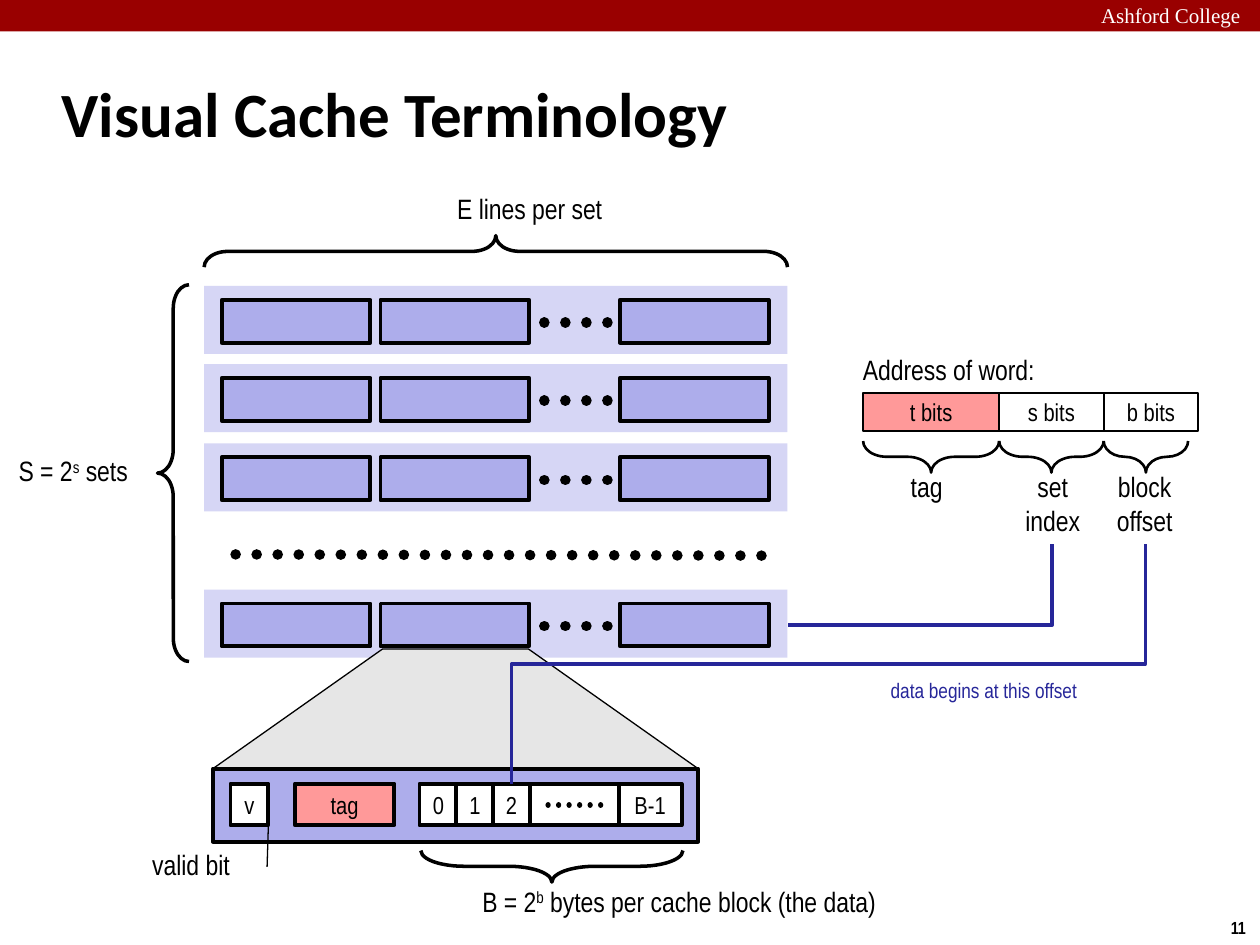
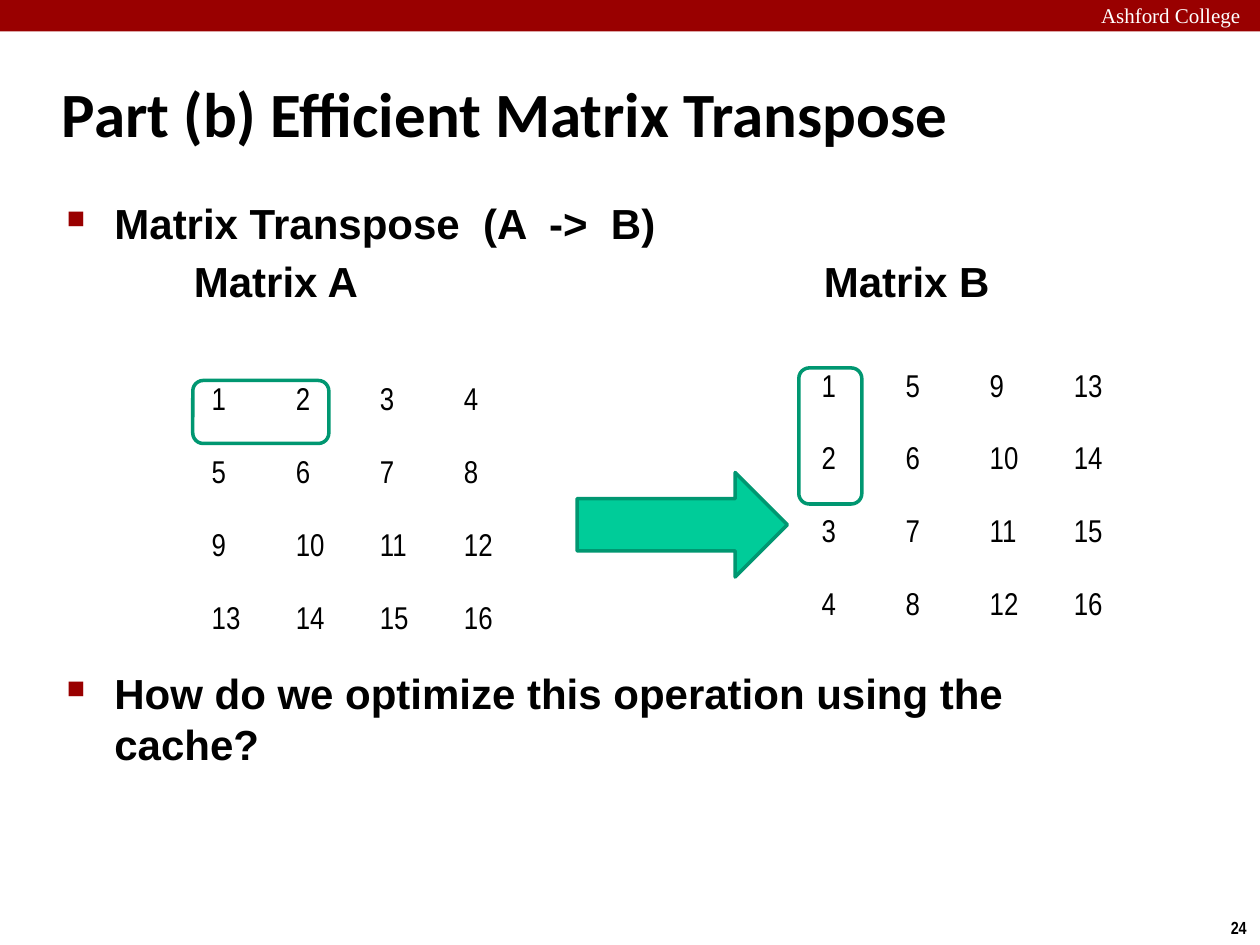
from itertools import accumulate

from lxml.etree import SubElement
from pptx import Presentation
from pptx.dml.color import RGBColor
from pptx.enum.dml import MSO_LINE
from pptx.enum.shapes import MSO_CONNECTOR as CONN, MSO_SHAPE as SHAPE
from pptx.enum.text import MSO_ANCHOR as ANCHOR, MSO_AUTO_SIZE as AUTO, PP_ALIGN as ALIGN
from pptx.oxml.ns import qn
from pptx.util import Inches, Pt

COLORS = {
    "band": "990000", "ink": "000000", "paper": "FFFFFF", "set": "D6D6F5",
    "line": "ADADEB", "tag": "FF9999", "zoom": "E6E6E6", "path": "262699",
    "arrow": "00CC99", "outline": "009771",
}
NARROW = "Arial Narrow"


def rgb(name):
    return RGBColor.from_string(COLORS[name])


def write(tf, text, size=16, font=NARROW, color="ink", bold=False,
          align=ALIGN.LEFT, anchor=ANCHOR.TOP, wrap=True):
    tf.word_wrap = wrap
    tf.auto_size = AUTO.NONE
    tf.vertical_anchor = anchor
    for i, line in enumerate(text.split("\n")):
        p = tf.add_paragraph() if i else tf.paragraphs[0]
        p.alignment = align
        for j, part in enumerate(line.split("^")):
            r = p.add_run()
            r.text = part
            r.font.size = Pt(size)
            r.font.name = font
            r.font.bold = bold
            r.font.color.rgb = rgb(color)
            if j % 2:
                r.font._element.set("baseline", "30000")


def label(s, text, x, y, w, h=0.37, **fmt):
    sp = s.shapes.add_textbox(Inches(x), Inches(y), Inches(w), Inches(h))
    write(sp.text_frame, text, **fmt)
    return sp


def shape(s, kind, x, y, w, h, fill=None, line=None, width=2.25, text=None):
    sp = s.shapes.add_shape(kind, Inches(x), Inches(y), Inches(w), Inches(h))
    sp.shadow.inherit = False
    if fill:
        sp.fill.solid()
        sp.fill.fore_color.rgb = rgb(fill)
    else:
        sp.fill.background()
    if line:
        sp.line.color.rgb = rgb(line)
        sp.line.width = Pt(width)
    else:
        sp.line.fill.background()
    if text:
        write(sp.text_frame, text, size=14, align=ALIGN.CENTER, anchor=ANCHOR.MIDDLE, wrap=False)
    return sp


def brace(s, x, y, w, h, rotation=0, width=2, curve=0.75):
    cx, cy = x + w / 2, y + h / 2
    if rotation:
        w, h = h, w
    sp = shape(s, SHAPE.LEFT_BRACE, cx - w / 2, cy - h / 2, w, h, line="ink", width=width)
    sp.rotation = rotation
    sp.adjustments[0] = curve


def connector(s, x1, y1, x2, y2, width, color="ink", kind=CONN.STRAIGHT, dotted=False):
    c = s.shapes.add_connector(kind, Inches(x1), Inches(y1), Inches(x2), Inches(y2))
    c.line.color.rgb = rgb(color)
    c.line.width = Pt(width)
    if dotted:
        c.line.dash_style = MSO_LINE.ROUND_DOT
        c.line._ln.set("cap", "rnd")
    SubElement(c._element.spPr, qn("a:effectLst"))
    return c


def elbow(s, x1, y1, x2, y2, preset):
    cx, cy = (x1 + x2) / 2, (y1 + y2) / 2
    dx, dy = (x1 - x2) / 2, (y2 - y1) / 2
    c = connector(s, cx - dy, cy - dx, cx + dy, cy + dx, 2, "path", CONN.ELBOW)
    c._element.spPr.find(qn("a:xfrm")).set("rot", "5400000")
    c._element.spPr.find(qn("a:prstGeom")).set("prst", preset)


def base_slide(prs, title, number):
    s = prs.slides.add_slide(prs.slide_layouts[5])
    shape(s, SHAPE.RECTANGLE, 0, 0, 10, 0.25, "band")
    label(s, "Ashford College", 8.64, -0.03, 1.43, 0.3, size=12,
          font="Times New Roman", color="paper")
    label(s, number, 9.67, 7.23, 0.34, 0.27, size=10, bold=True, wrap=False)
    sp = s.shapes.title
    sp.left, sp.top, sp.width, sp.height = map(Inches, (0.39, 0.48, 8.3, 0.83))
    write(sp.text_frame, title, size=36, font="Calibri", bold=True, anchor=ANCHOR.MIDDLE)
    return s


def cache_set(s, x, y):
    shape(s, SHAPE.RECTANGLE, x, y, 4.63, 0.54, "set")
    for dx in (0.14, 1.4, 3.3):
        shape(s, SHAPE.RECTANGLE, x + dx, y + 0.11, 1.18, 0.34, "line", "ink")
    connector(s, x + 2.7, y + 0.29, x + 3.31, y + 0.29, 6, dotted=True)


def cache(s, x, y):
    label(s, "E lines per set", x + 1.91, y - 0.8, 1.75)
    brace(s, x, y - 0.4, 4.63, 0.25, rotation=90)
    label(s, "S = 2^s^ sets", x - 1.57, y + 1.28, 1.27)
    brace(s, x - 0.37, y - 0.01, 0.25, 2.99)
    for dy in (0, 0.62, 1.25, 2.41):
        cache_set(s, x, y + dy)
    connector(s, x + 0.25, y + 2.13, x + 4.48, y + 2.14, 6, dotted=True)


def block(s, x, y):
    sp = shape(s, SHAPE.TRAPEZOID, x, y - 0.95, 3.85, 0.95, "zoom", "ink", 0.75)
    sp.adjustments[0] = 1.418
    shape(s, SHAPE.RECTANGLE, x, y, 3.85, 0.58, "line", "ink")
    cells = [("v", 0.14, 0.3, "paper"), ("tag", 0.65, 0.79, "tag"),
             ("0", 1.64, 0.3, "paper"), ("1", 1.93, 0.3, "paper"),
             ("2", 2.22, 0.3, "paper"), ("B-1", 3.22, 0.5, "paper"),
             (None, 2.52, 0.7, "paper")]
    for text, dx, w, fill in cells:
        shape(s, SHAPE.RECTANGLE, x + dx, y + 0.12, w, 0.33, fill, "ink", text=text)
    connector(s, x + 2.66, y + 0.29, x + 3.16, y + 0.29, 3, dotted=True)
    label(s, "valid bit", x - 0.58, y + 0.58, 1.06)
    connector(s, x + 0.43, y + 0.78, x + 0.44, y + 0.45, 0.75)
    brace(s, x + 1.65, y + 0.65, 2.08, 0.25, rotation=270, curve=1.37)
    label(s, "B = 2^b^ bytes per cache block (the data)", x + 2.04, y + 0.87, 4.17)


def address(s, x, y):
    label(s, "Address of word:", x - 0.1, y - 0.37, 1.94)
    widths = (1.08, 0.83, 0.75)
    lefts = accumulate(widths, initial=x)
    fields = zip(lefts, widths, (1.08, 0.83, 0.67), ("t bits", "s bits", "b bits"),
                 ("tag", "paper", "paper"))
    for left, w, span, text, fill in fields:
        shape(s, SHAPE.RECTANGLE, left, y, w, 0.3, fill, "ink", 1, text)
        brace(s, left, y + 0.38, span, 0.25, rotation=270, width=1.5)
    label(s, "tag", x + 0.28, y + 0.56, 0.54)
    for text, dx in (("set\nindex", 1.12), ("block\noffset", 1.85)):
        label(s, text, x + dx, y + 0.56, 0.77, 0.64, align=ALIGN.CENTER)


def cache_slide(prs):
    s = base_slide(prs, "Visual Cache Terminology", "11")
    cache(s, 1.62, 2.27)
    block(s, 1.69, 6.1)
    address(s, 6.85, 3.12)
    elbow(s, 8.35, 4.32, 6.25, 4.96, "bentConnector2")
    elbow(s, 9.09, 4.32, 4.06, 6.22, "bentConnector3")
    label(s, "data begins at this offset", 6.97, 5.33, 2.12, 0.3, size=12, color="path")


def bullet(s, text, x, y, h):
    sp = label(s, text, x, y, 8.64, h, size=24, font="Arial", bold=True)
    pPr = sp.text_frame.paragraphs[0]._p.get_or_add_pPr()
    pPr.set("marL", str(Inches(0.38)))
    pPr.set("indent", str(Inches(-0.38)))
    clr = SubElement(pPr, qn("a:buClr"))
    SubElement(clr, qn("a:srgbClr")).set("val", COLORS["band"])
    SubElement(pPr, qn("a:buSzPct")).set("val", "60000")
    SubElement(pPr, qn("a:buChar")).set("char", "■")


def matrix(s, rows, x, y):
    n = len(rows)
    table = s.shapes.add_table(n, n, Inches(x), Inches(y), Inches(2.67), Inches(2.31)).table
    table.first_row = table.horz_banding = False
    for i, row in enumerate(rows):
        for j, value in enumerate(row):
            cell = table.cell(i, j)
            cell.fill.background()
            write_cell = cell.text_frame.paragraphs[0].add_run()
            write_cell.text = str(value)
            write_cell.font.size = Pt(18)
            write_cell.font.name = NARROW
            write_cell.font.color.rgb = rgb("ink")


def transpose_slide(prs):
    s = base_slide(prs, "Part (b) Efficient Matrix Transpose", "24")
    a = [range(start, start + 4) for start in range(1, 17, 4)]
    b = list(zip(*a))
    bullet(s, "Matrix Transpose  (A  ->  B)", 0.43, 1.52, 0.5)
    for text, x in (("Matrix A", 1.44), ("Matrix B", 6.44)):
        label(s, text, x, 1.98, 2, 0.5, size=24, font="Arial", bold=True)
    matrix(s, a, 1.58, 3.03)
    matrix(s, b, 6.42, 2.92)
    bullet(s, "How do we optimize this operation using the cache?", 0.43, 5.25, 0.9)
    shape(s, SHAPE.ROUNDED_RECTANGLE, 1.53, 3.02, 1.08, 0.5, line="outline", width=2)
    shape(s, SHAPE.ROUNDED_RECTANGLE, 6.34, 2.92, 0.5, 1.08, line="outline", width=2)
    shape(s, SHAPE.RIGHT_ARROW, 4.58, 3.75, 1.67, 0.83, "arrow", "outline", 2)


def main():
    prs = Presentation()
    prs.slide_width, prs.slide_height = Inches(10), Inches(7.5)
    cache_slide(prs)
    transpose_slide(prs)
    prs.save("out.pptx")


if __name__ == "__main__":
    main()
